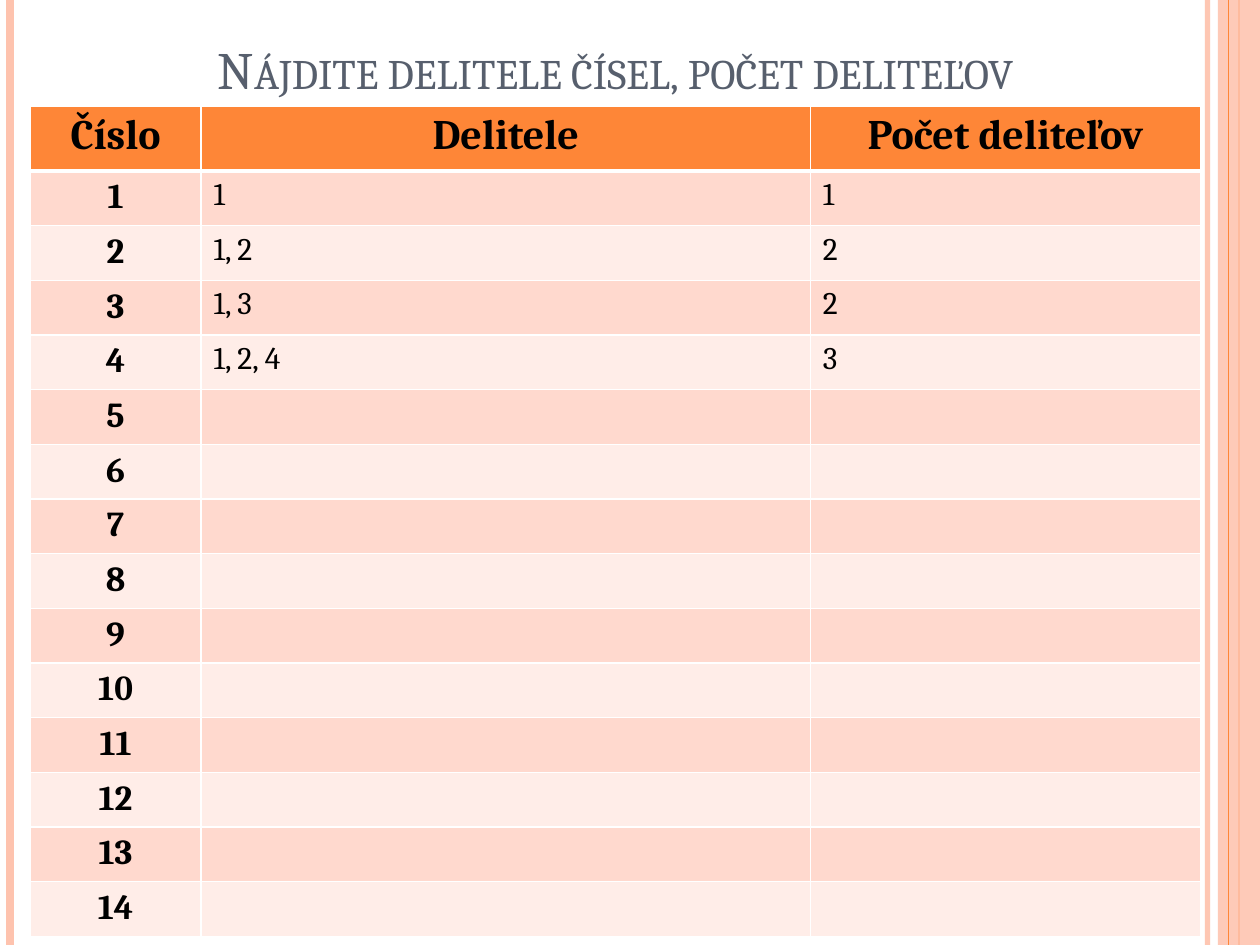
from lxml import etree
from pptx import Presentation
from pptx.dml.color import RGBColor
from pptx.enum.shapes import MSO_CONNECTOR, MSO_SHAPE
from pptx.enum.text import MSO_ANCHOR, PP_ALIGN
from pptx.oxml.ns import qn
from pptx.util import Pt

STRAIGHT, RECT = MSO_CONNECTOR.STRAIGHT, MSO_SHAPE.RECTANGLE
BOTTOM, CENTER, LEFT = MSO_ANCHOR.BOTTOM, PP_ALIGN.CENTER, PP_ALIGN.LEFT

WIDTH, HEIGHT = 720, 540
FONT = "Cambria"
COLORS = {
    "peach": "FEC3AE", "orange": "FE8637", "slate": "575F6D", "black": "000000",
    "white": "FFFFFF", "band_dark": "FFD9CE", "band_light": "FFEDE8",
}

TITLE = "Nájdite delitele čísel, počet deliteľov"
HEADER = ("Číslo", "Delitele", "Počet deliteľov")
ANSWERS = {1: ("1", "1"), 2: ("1, 2", "2"), 3: ("1, 3", "2"), 4: ("1, 2, 4", "3")}
LAST_NUMBER = 14
ROWS = [HEADER] + [(str(n), *ANSWERS.get(n, ("", ""))) for n in range(1, LAST_NUMBER + 1)]

TABLE_LEFT, TABLE_TOP = 17.2, 60.5
COLUMN_WIDTHS = (97.7, 348.2, 223)
HEADER_HEIGHT, ROW_HEIGHT = 37.2, 30.4

# x, colour, width, opacity in percent
LINES_BEHIND = [(690, "peach", 3, 93), (5.75, "peach", 4.5, 100), (708, "orange", 1.5, 100)]
LINES_FRONT = [(702, "orange", 0.75, 100)]
STRIPE = {"left": 696, "width": 24, "color": "peach", "opacity": 87}


def rgb(name):
    return RGBColor.from_string(COLORS[name])


def set_opacity(fill_parent, percent):
    clr = fill_parent.find(qn("a:solidFill")).find(qn("a:srgbClr"))
    etree.SubElement(clr, qn("a:alpha")).set("val", str(percent * 1000))


def add_vertical_line(slide, x, color, width, opacity):
    line = slide.shapes.add_connector(STRAIGHT, Pt(x), Pt(0), Pt(x), Pt(HEIGHT))
    line.line.color.rgb = rgb(color)
    line.line.width = Pt(width)
    sp_pr = line._element.spPr
    if opacity < 100:
        set_opacity(sp_pr.find(qn("a:ln")), opacity)
    etree.SubElement(sp_pr, qn("a:effectLst"))


def add_stripe(slide):
    sp = slide.shapes.add_shape(RECT, Pt(STRIPE["left"]), Pt(0), Pt(STRIPE["width"]), Pt(HEIGHT))
    sp.shadow.inherit = False
    sp.fill.solid()
    sp.fill.fore_color.rgb = rgb(STRIPE["color"])
    set_opacity(sp._element.spPr, STRIPE["opacity"])
    sp.line.fill.background()


def write(p, text, color, **font_format):
    r = p.add_run()
    r.text = text
    r.font.color.rgb = rgb(color)
    for name, value in {"name": FONT, **font_format}.items():
        setattr(r.font, name, value)
    return r


def add_title(slide):
    tf = slide.shapes.add_textbox(Pt(8.6), Pt(3.6), Pt(686.2), Pt(56.9)).text_frame
    tf.word_wrap = True
    tf.vertical_anchor = BOTTOM
    p = tf.paragraphs[0]
    p.alignment = CENTER
    r = write(p, TITLE, "slate", size=Pt(30))
    r.font._element.set("cap", "small")


def set_borders(cell, widths):
    """Draw white borders; they must come before the fill in the cell properties."""
    tc_pr = cell._tc.get_or_add_tcPr()
    for i, (side, width) in enumerate(widths.items()):
        ln = etree.Element(qn(f"a:{side}"), w=str(Pt(width)))
        fill = etree.SubElement(ln, qn("a:solidFill"))
        etree.SubElement(fill, qn("a:srgbClr"), val=COLORS["white"])
        tc_pr.insert(i, ln)


def add_divisor_table(slide):
    height = HEADER_HEIGHT + LAST_NUMBER * ROW_HEIGHT
    table = slide.shapes.add_table(
        len(ROWS), len(HEADER), Pt(TABLE_LEFT), Pt(TABLE_TOP),
        Pt(sum(COLUMN_WIDTHS)), Pt(height)).table
    for column, width in zip(table.columns, COLUMN_WIDTHS):
        column.width = Pt(width)
    for i, values in enumerate(ROWS):
        is_header = i == 0
        table.rows[i].height = Pt(HEADER_HEIGHT if is_header else ROW_HEIGHT)
        fill = "orange" if is_header else ("band_light", "band_dark")[i % 2]
        borders = {"lnL": 1, "lnR": 1, "lnT": 3 if i == 1 else 1, "lnB": 3 if is_header else 1}
        for j, text in enumerate(values):
            cell = table.cell(i, j)
            cell.fill.solid()
            cell.fill.fore_color.rgb = rgb(fill)
            set_borders(cell, borders)
            heading = is_header or j == 0
            size = 24 if is_header else 20 if j == 0 else 18
            p = cell.text_frame.paragraphs[0]
            p.alignment = CENTER if heading else LEFT
            if text:
                write(p, text, "black", size=Pt(size), bold=heading)


def main():
    prs = Presentation()
    prs.slide_width, prs.slide_height = Pt(WIDTH), Pt(HEIGHT)
    slide = prs.slides.add_slide(prs.slide_layouts[6])
    for line in LINES_BEHIND:
        add_vertical_line(slide, *line)
    add_stripe(slide)
    for line in LINES_FRONT:
        add_vertical_line(slide, *line)
    add_title(slide)
    add_divisor_table(slide)
    prs.save("out.pptx")


if __name__ == "__main__":
    main()
